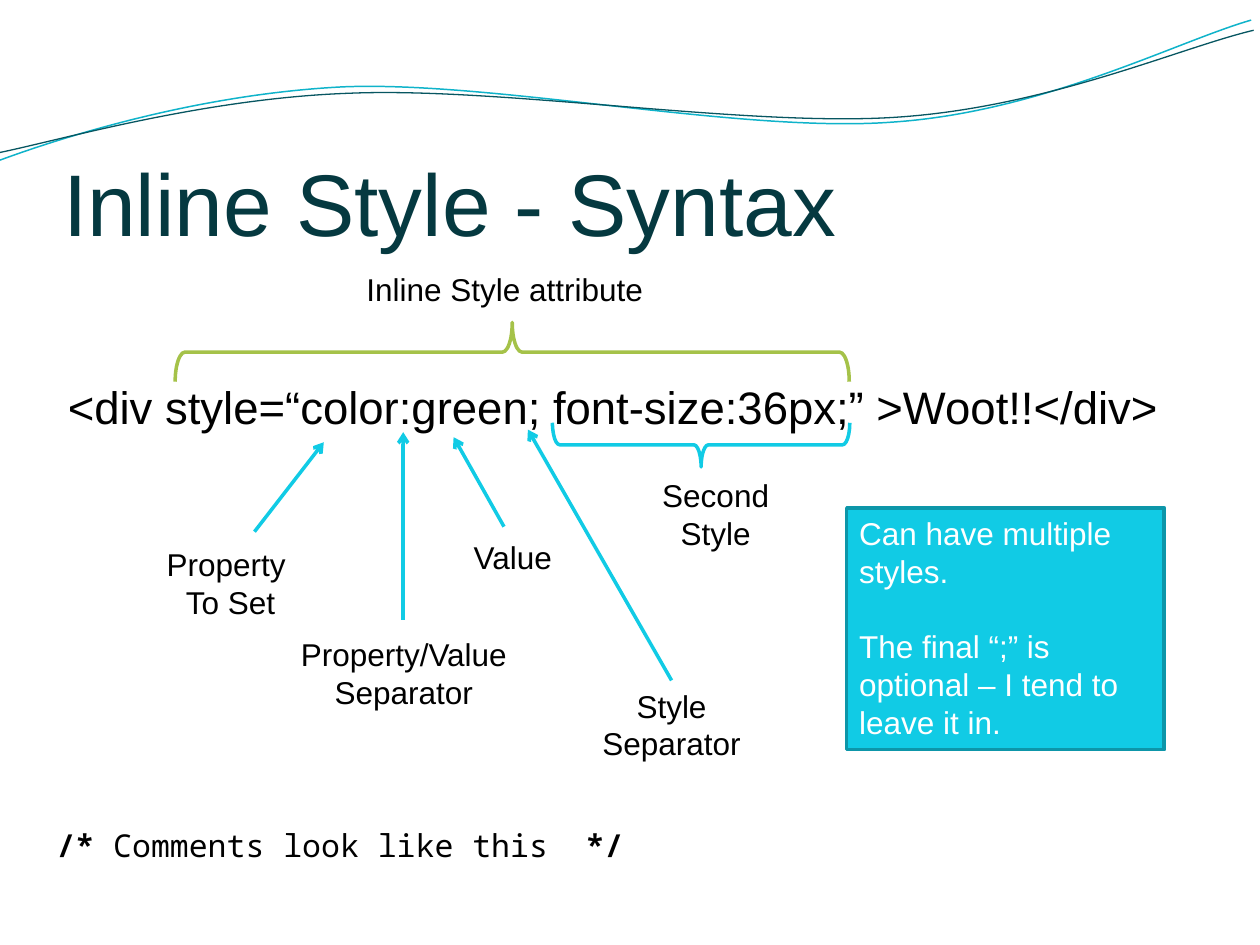
from lxml.etree import SubElement
from pptx import Presentation
from pptx.dml.color import RGBColor
from pptx.enum.shapes import MSO_CONNECTOR, MSO_SHAPE
from pptx.enum.text import MSO_ANCHOR, PP_ALIGN
from pptx.oxml.ns import qn
from pptx.util import Inches, Pt

CYAN, GREEN, BLACK = "11CBE5", "A5C249", "000000"
LEFT, CENTER = PP_ALIGN.LEFT, PP_ALIGN.CENTER

presentation = Presentation()
presentation.slide_width, presentation.slide_height = Inches(10), Inches(7.5)
column = presentation.slide_width / 10
slide = presentation.slides.add_slide(presentation.slide_layouts[5])
shapes = slide.shapes


def grid(*cells):
    """Turn columns and rows (ten columns across, square cells) into lengths."""
    return [round(cell * column) for cell in cells]


def write(shape, paragraphs, size, color=BLACK, align=LEFT, font="Arial", gap=0):
    """Fill a shape; each paragraph is a list of (text, bold) runs."""
    frame = shape.text_frame
    frame.word_wrap = True
    for index, runs in enumerate(paragraphs):
        paragraph = frame.add_paragraph() if index else frame.paragraphs[0]
        paragraph.alignment = align
        if index:
            paragraph.space_before = Pt(gap)
        for text, bold in runs:
            run = paragraph.add_run()
            run.text = text
            run.font.color.rgb = RGBColor.from_string(color)
            for name, value in {"size": Pt(size), "name": font, "bold": bold}.items():
                setattr(run.font, name, value)


outlined = []  # (shape, line colour, line width)

# Waves across the top, each a chain of three cubic curves
waves = [
    ("0FB3CA", 0.85, [(-0.05, 1.29), (0.43, 1.11), (1.53, 0.75), (2.72, 0.69),
                      (3.91, 0.64), (5.88, 1.06), (7.08, 0.97),
                      (8.28, 0.89), (9.34, 0.33), (9.93, 0.16)]),
    ("075661", 0.75, [(-0.05, 1.22), (0.42, 1.13), (1.59, 0.78), (2.78, 0.74),
                      (3.98, 0.69), (5.93, 1.01), (7.12, 0.93),
                      (8.32, 0.85), (9.36, 0.38), (9.95, 0.24)]),
]
for color, width, controls in waves:
    builder = shapes.build_freeform(*grid(*controls[0]))
    builder.add_line_segments([grid(*point) for point in controls[1:]], close=False)
    wave = builder.convert_to_shape()
    wave.fill.background()
    # Every three straight segments become the controls and end of one curve
    segments = list(wave._element.iter(qn("a:lnTo")))
    outline = segments[0].getparent()
    for first in range(0, len(segments), 3):
        curve = SubElement(outline, qn("a:cubicBezTo"))
        for segment in segments[first:first + 3]:
            curve.append(segment[0])
            outline.remove(segment)
    outlined.append((wave, color, width))

# Title
title = shapes.title
title.left, title.top, title.width, title.height = grid(0.5, 0.77, 9, 1.25)
frame_format = {"vertical_anchor": MSO_ANCHOR.BOTTOM, "margin_left": 0,
                "margin_right": 0, "margin_top": Inches(0.05), "margin_bottom": 0}
for name, value in frame_format.items():
    setattr(title.text_frame, name, value)
write(title, [[("Inline Style - Syntax", False)]], 50, "053940")

# Code line and its labels
labels = [
    ((0.44, 2.96, 9, 0.63), ["<div style=“color:green; font-size:36px;” >Woot!!</div>"], 26, LEFT),
    ((2.81, 2.09, 2.52, 0.4), ["Inline Style attribute"], 18, LEFT),
    ((1.16, 4.28, 1.34, 0.71), ["Property ", "To Set"], 18, CENTER),
    ((2.22, 4.99, 1.97, 0.71), ["Property/Value Separator"], 18, CENTER),
    ((3.4, 4.22, 1.34, 0.4), ["Value"], 18, CENTER),
    ((4.66, 5.4, 1.34, 0.71), ["Style Separator"], 18, CENTER),
    ((5.01, 3.73, 1.34, 0.71), ["Second Style"], 18, CENTER),
]
for cells, lines, size, align in labels:
    label = shapes.add_textbox(*grid(*cells))
    write(label, [[(line, False)] for line in lines], size, align=align)

# Braces lie on their side; the flipped one points down
for cells, color, flipped in [((3.83, 0.12, 0.47, 5.35), GREEN, False),
                              ((5.39, 2.35, 0.35, 2.36), CYAN, True)]:
    brace = shapes.add_shape(MSO_SHAPE.LEFT_BRACE, *grid(*cells))
    brace.rotation = 90
    brace.adjustments[0] = 0.165
    brace.fill.background()
    if flipped:
        brace._element.spPr.find(qn("a:xfrm")).set("flipH", "1")
    outlined.append((brace, color, 2))

# Arrows from the labels up to the code
arrows = []
for ends in [(2.02, 4.22, 2.57, 3.51), (3.2, 4.92, 3.2, 3.43),
             (4, 4.18, 3.6, 3.47), (5.33, 5.4, 4.19, 3.41)]:
    arrow = shapes.add_connector(MSO_CONNECTOR.STRAIGHT, *grid(*ends))
    arrows.append(arrow)
    outlined.append((arrow, CYAN, 2))

# Note on multiple styles
note = shapes.add_shape(MSO_SHAPE.RECTANGLE, *grid(6.72, 4.03, 2.52, 1.92))
note.fill.solid()
note.fill.fore_color.rgb = RGBColor.from_string(CYAN)
note.text_frame.vertical_anchor = MSO_ANCHOR.TOP
write(note, [[("Can have multiple styles.", False)],
             [("The final “;” is optional – I tend to leave it in.", False)]],
      18, "FFFFFF", gap=21.5)
outlined.append((note, "0D96A9", 2))

# Comment syntax
comment = shapes.add_textbox(*grid(0.35, 6.51, 8.88, 0.4))
write(comment, [[("/* ", True), ("Comments look like this  ", False), ("*/", True)]],
      18, font="Noto Sans Mono")

for shape, color, width in outlined:
    shape.line.color.rgb = RGBColor.from_string(color)
    shape.line.width = Pt(width)
    if shape not in arrows:
        shape.shadow.inherit = False
for arrow in arrows:
    SubElement(arrow.line._get_or_add_ln(), qn("a:tailEnd"), type="arrow")
    SubElement(arrow._element.spPr, qn("a:effectLst"))

presentation.save("out.pptx")
